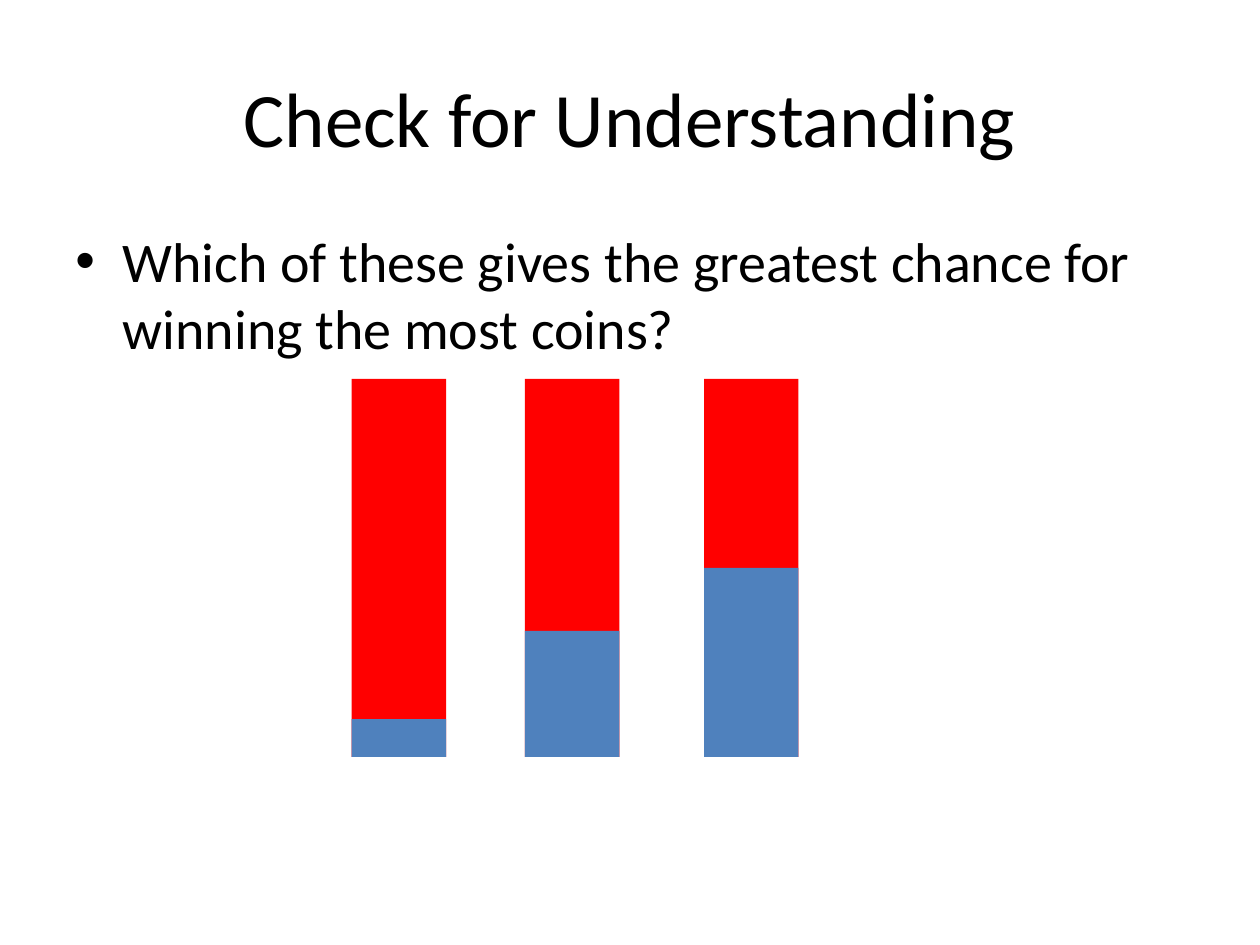
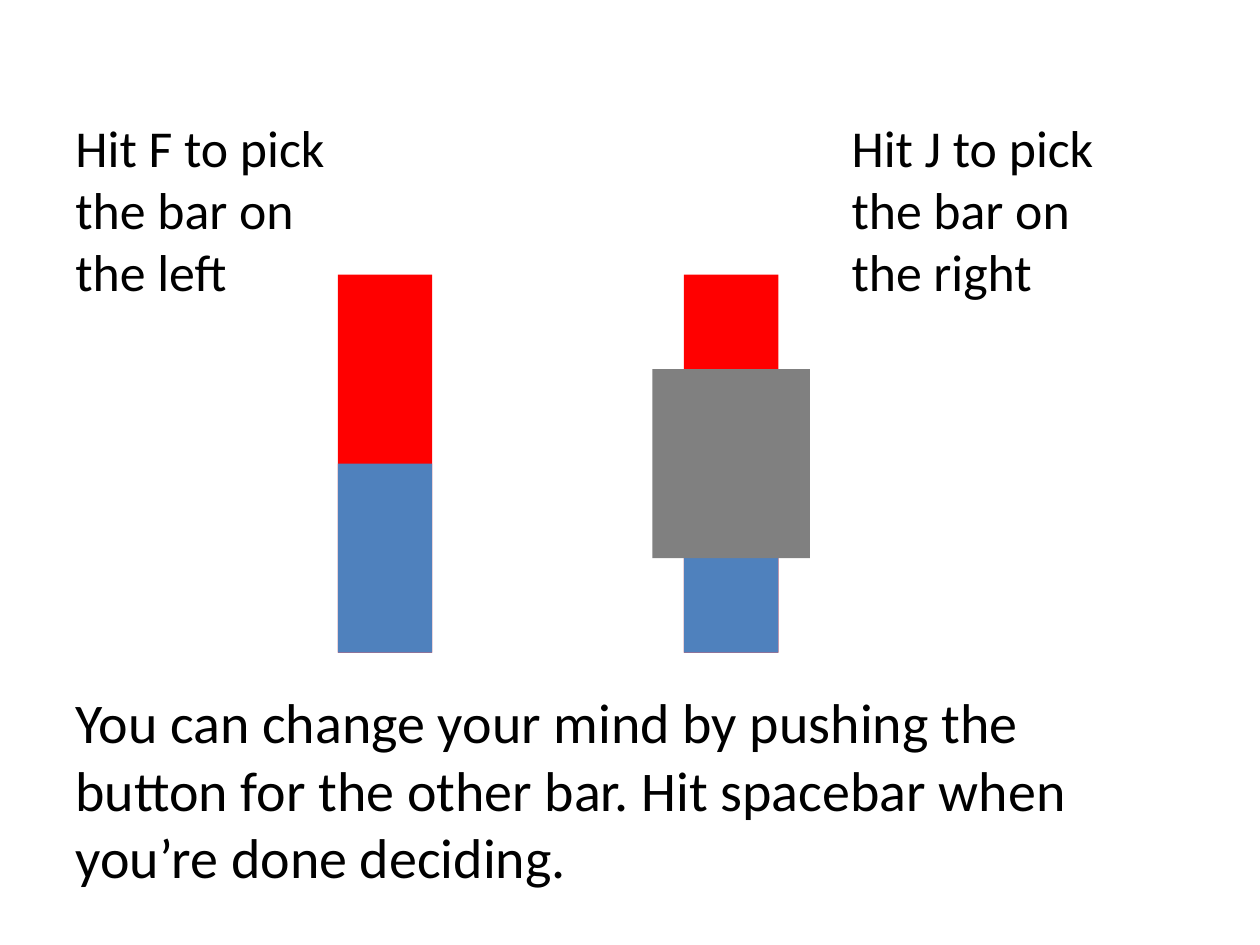
from lxml.etree import SubElement
from pptx import Presentation
from pptx.dml.color import RGBColor
from pptx.enum.shapes import MSO_SHAPE
from pptx.enum.text import MSO_ANCHOR, PP_ALIGN
from pptx.oxml.ns import qn
from pptx.util import Pt

FONT = "Calibri"
BLACK, LOSE_RED, WIN_BLUE, COVER_GRAY = "000000", "FF0000", "4F81BD", "808080"
MARGIN = 36
BAR_WIDTH, BAR_HEIGHT = 54, 216
COVER_WIDTH, COVER_HEIGHT = 90, 108

# Bars: left edge, share of the height that wins, covered in the middle or not
QUESTION = {
    "title": "Check for Understanding",
    "text": "Which of these gives the greatest chance for winning the most coins?",
    "bar_top": 216.6,
    "bars": [(200.9, 0.1, False), (299.9, 1 / 3, False), (402.3, 0.5, False)],
}
# Texts: wording, (left, top, width, height), size
CHOICE = {
    "texts": [
        ("Hit F to pick the bar on the left", (MARGIN, 62.6, 181.4, 97.2), 29.6),
        ("Hit J to pick the bar on the right", (479.5, 62.6, 181.4, 97.2), 29.6),
        ("You can change your mind by pushing the button for the other bar. "
         "Hit spacebar when you’re done deciding.", (MARGIN, 389.5, 625, 111.6), 32),
    ],
    "bar_top": 157,
    "bars": [(193, 0.5, False), (390.8, 0.5, True)],
}


def rgb(hex_code):
    """Turn a hex string into a colour."""
    return RGBColor.from_string(hex_code)


def write(frame, text, size):
    """Put one paragraph in a text frame and style it."""
    frame.word_wrap = True
    paragraph = frame.paragraphs[0]
    paragraph.text = text
    paragraph.font.name = FONT
    paragraph.font.size = Pt(size)
    paragraph.font.color.rgb = rgb(BLACK)
    return paragraph


def add_text(slide, text, box, size):
    """Add a wrapped text box and return its paragraph."""
    return write(slide.shapes.add_textbox(*map(Pt, box)).text_frame, text, size)


def add_bullet(paragraph, indent):
    """Give a paragraph a round bullet with a hanging indent."""
    properties = paragraph._p.get_or_add_pPr()
    properties.set("marL", str(Pt(indent)))
    properties.set("indent", str(-Pt(indent)))
    SubElement(properties, qn("a:buFont"), typeface="Arial")
    SubElement(properties, qn("a:buChar"), char="•")


def add_block(group, left, top, width, height, color):
    """Add a plain filled rectangle to a group."""
    block = group.shapes.add_shape(
        MSO_SHAPE.RECTANGLE, Pt(left), Pt(top), Pt(width), Pt(height))
    block.shadow.inherit = False
    block.fill.solid()
    block.fill.fore_color.rgb = rgb(color)
    block.line.fill.background()


def add_bars(slide, bars, top):
    """Draw each bar as a group: red whole, blue winning part, optional cover."""
    for left, win_share, covered in bars:
        bar = slide.shapes.add_group_shape()
        win_height = BAR_HEIGHT * win_share
        add_block(bar, left, top, BAR_WIDTH, BAR_HEIGHT, LOSE_RED)
        add_block(bar, left, top + BAR_HEIGHT - win_height,
                  BAR_WIDTH, win_height, WIN_BLUE)
        if covered:
            add_block(bar, left - (COVER_WIDTH - BAR_WIDTH) / 2,
                      top + (BAR_HEIGHT - COVER_HEIGHT) / 2,
                      COVER_WIDTH, COVER_HEIGHT, COVER_GRAY)


def build_question(deck):
    """Build the slide that asks which bar is best."""
    slide = deck.slides.add_slide(deck.slide_layouts.get_by_name("Title Only"))
    title = slide.shapes.title
    title.left, title.top, title.width, title.height = map(Pt, (MARGIN, 21.6, 648, 90))
    title.text_frame.vertical_anchor = MSO_ANCHOR.MIDDLE
    write(title.text_frame, QUESTION["title"], 44).alignment = PP_ALIGN.CENTER
    question = add_text(slide, QUESTION["text"], (MARGIN, 126, 648, 90.6), 32)
    add_bullet(question, 27)
    add_bars(slide, QUESTION["bars"], QUESTION["bar_top"])


def build_choice(deck):
    """Build the slide that explains the keys."""
    slide = deck.slides.add_slide(deck.slide_layouts.get_by_name("Blank"))
    for text, box, size in CHOICE["texts"]:
        add_text(slide, text, box, size)
    add_bars(slide, CHOICE["bars"], CHOICE["bar_top"])


presentation = Presentation()
presentation.slide_width, presentation.slide_height = Pt(720), Pt(540)
build_question(presentation)
build_choice(presentation)
presentation.save("out.pptx")
